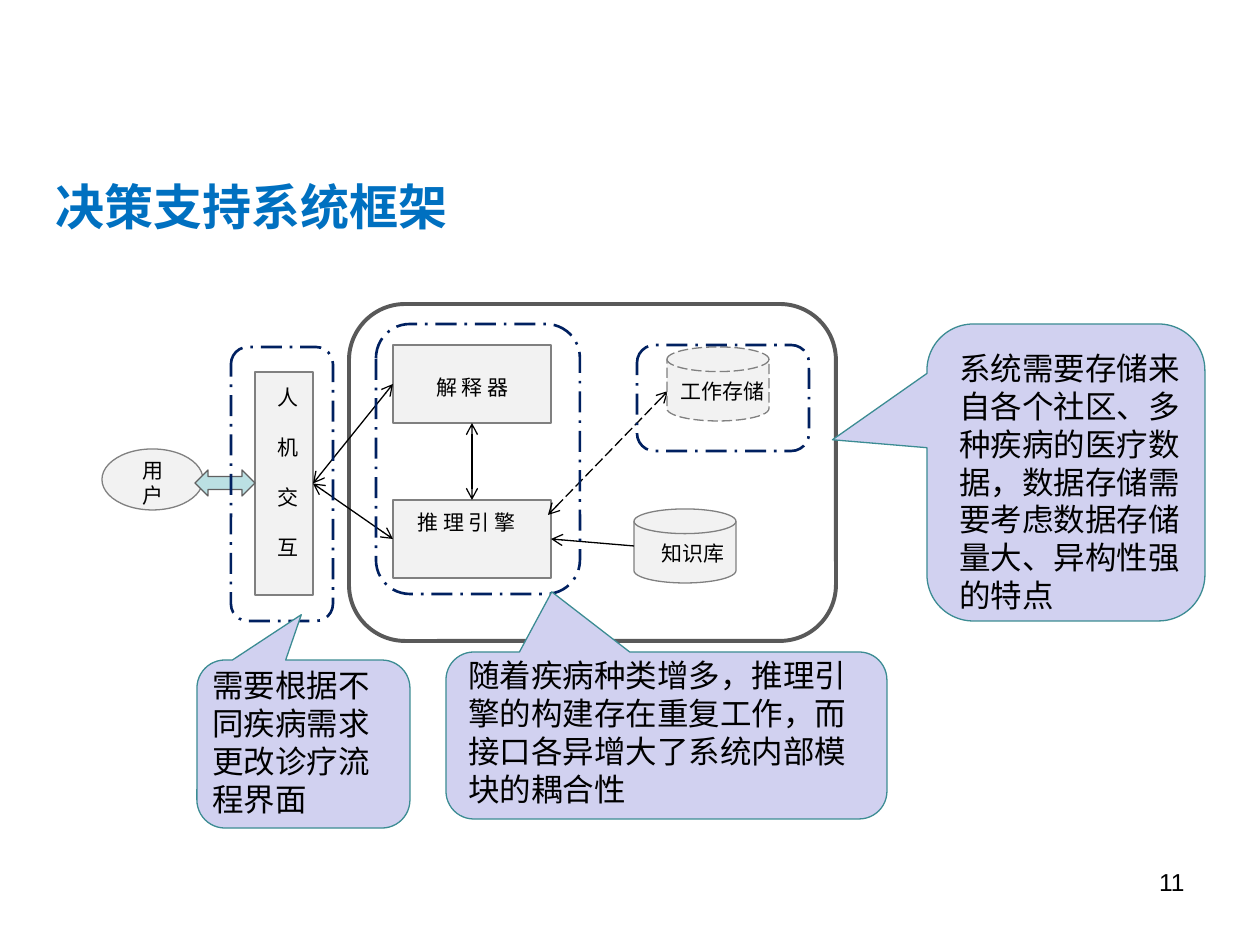
import pptx
import pptx.util
import pptx.dml.color
import pptx.enum.dml
import pptx.enum.shapes
import pptx.enum.text
import pptx.oxml
import pptx.oxml.ns
import lxml.etree

RGB = pptx.dml.color.RGBColor
SHAPE = pptx.enum.shapes.MSO_SHAPE
DASH = pptx.enum.dml.MSO_LINE
ALIGN = pptx.enum.text.PP_ALIGN
AUTO = pptx.enum.text.MSO_AUTO_SIZE

BLACK = RGB(0x00, 0x00, 0x00)
LIGHT = RGB(0xF2, 0xF2, 0xF2)
GREY = RGB(0x80, 0x80, 0x80)
DARK = RGB(0x59, 0x59, 0x59)
ARROW_LINE = RGB(0x60, 0x60, 0x60)
AQUA = RGB(0xBB, 0xE0, 0xE3)
NAVY = RGB(0x00, 0x20, 0x60)
BLUE = RGB(0x00, 0x70, 0xC0)
LILAC = RGB(0xD1, 0xD1, 0xF0)
TEAL = RGB(0x3C, 0x8C, 0x93)

TOP, LEFT, BOTTOM, RIGHT = range(4)


def px(n):
    return pptx.util.Emu(round(n * 914400 / 126))


class Board:
    """Current slide together with its drawing style."""

    font = "Arial"

    def __init__(self, slide):
        self.s = slide

    def shape(self, kind, box, fill=LIGHT, line=GREY, width=0.75, dash=None):
        sp = self.s.shapes.add_shape(kind, *map(px, box))
        sp.shadow.inherit = False
        if fill is None:
            sp.fill.background()
        else:
            sp.fill.solid()
            sp.fill.fore_color.rgb = fill
        sp.line.color.rgb = line
        sp.line.width = pptx.util.Pt(width)
        if dash is not None:
            sp.line.dash_style = dash
        return sp

    def group_frame(self, box):
        return self.shape(SHAPE.ROUNDED_RECTANGLE, box, None, NAVY, 1.5,
                          DASH.LONG_DASH_DOT)

    def callout(self, box, tip):
        """Tip is the pointer's offset from the centre, as shares of the size."""
        sp = self.shape(SHAPE.ROUNDED_RECTANGULAR_CALLOUT, box, LILAC, TEAL)
        sp.adjustments[0], sp.adjustments[1] = tip
        return sp

    def text(self, box, *lines, size=12, color=BLACK, bold=False,
             align=ALIGN.LEFT, wrap=True, gap=0):
        tf = self.s.shapes.add_textbox(*map(px, box)).text_frame
        tf.word_wrap = wrap
        tf.auto_size = AUTO.SHAPE_TO_FIT_TEXT
        for i, line in enumerate(lines):
            p = tf.add_paragraph() if i else tf.paragraphs[0]
            p.alignment = align
            if i and gap:
                p.space_before = pptx.util.Pt(gap)
            r = p.add_run()
            r.text = line
            r.font.name = self.font
            r.font.size = pptx.util.Pt(size)
            r.font.bold = bold
            r.font.color.rgb = color

    def arrow(self, start, end, both=True, dash=None):
        """Each end is an (x, y) point or a (shape, side) joint."""
        points = [(0, 0) if hasattr(e[0], "shape_id") else e
                  for e in (start, end)]
        c = self.s.shapes.add_connector(
            pptx.enum.shapes.MSO_CONNECTOR.STRAIGHT,
            *(px(n) for point in points for n in point))
        for joint, connect in ((start, c.begin_connect), (end, c.end_connect)):
            if hasattr(joint[0], "shape_id"):
                connect(*joint)
        c.line.color.rgb = BLACK
        c.line.width = pptx.util.Pt(0.75)
        if dash is not None:
            c.line.dash_style = dash
        qn = pptx.oxml.ns.qn
        ln = c.line._get_or_add_ln()
        for tag in ("a:headEnd", "a:tailEnd") if both else ("a:tailEnd",):
            lxml.etree.SubElement(ln, qn(tag), type="arrow")
        lxml.etree.SubElement(c._element.spPr, qn("a:effectLst"))


def main():
    prs = pptx.Presentation()
    prs.slide_width, prs.slide_height = px(1260), px(945)
    b = Board(prs.slides.add_slide(prs.slide_layouts[6]))

    b.text((903, 861, 294, 66), "11", size=14, align=ALIGN.RIGHT)
    b.text((40, 170, 423, 72), "决策支持系统框架", size=28, color=BLUE,
           bold=True, align=ALIGN.CENTER, wrap=False)

    # System parts
    b.shape(SHAPE.ROUNDED_RECTANGLE, (349, 304, 487, 337), None, DARK, 2.25)
    b.shape(SHAPE.OVAL, (102, 449, 101, 61))
    interface = b.shape(SHAPE.RECTANGLE, (255, 372, 58, 223))
    explainer, engine = (b.shape(SHAPE.RECTANGLE, (393, y, 158, 78))
                         for y in (345, 500))
    b.shape(SHAPE.FLOWCHART_MAGNETIC_DISK, (634, 509, 102, 74))
    b.shape(SHAPE.LEFT_RIGHT_ARROW, (195, 470, 60, 26), AQUA, ARROW_LINE)

    # Data flows
    b.arrow((explainer, LEFT), (interface, RIGHT))
    b.arrow((interface, RIGHT), (engine, LEFT))
    b.arrow((548, 515), (668, 391), dash=DASH.LONG_DASH)
    b.arrow((explainer, BOTTOM), (engine, TOP))
    b.arrow((634, 546), (engine, RIGHT), both=False)

    # Labels
    b.text((130, 451, 65, 63), "用户")
    b.text((265, 378, 45, 190), *"人机交互", gap=14.3)
    b.text((414, 368, 117, 38), "解 释 器", align=ALIGN.CENTER)
    b.text((401, 503, 131, 38), "推 理 引 擎", align=ALIGN.CENTER)
    b.text((649, 534, 92, 38), "知识库")
    b.shape(SHAPE.FLOWCHART_MAGNETIC_DISK, (667, 347, 102, 74),
            dash=DASH.LONG_DASH)
    b.text((668, 372, 111, 38), "工作存储")

    for box in ((376, 324, 204, 270), (637, 345, 172, 106),
                (231, 347, 102, 274)):
        b.group_frame(box)

    # Remarks: callout box, pointer, text box, wording
    remarks = (
        ((197, 660, 213, 168), (-0.01, -0.77), (200, 660, 193, 165),
         "需要根据不同疾病需求更改诊疗流程界面"),
        ((446, 652, 441, 167), (-0.26, -0.86), (456, 650, 431, 165),
         "随着疾病种类增多，推理引擎的构建存在重复工作，"
         "而接口各异增大了系统内部模块的耦合性"),
        ((927, 324, 278, 297), (-0.84, -0.11), (947, 343, 257, 280),
         "系统需要存储来自各个社区、多种疾病的医疗数据，"
         "数据存储需要考虑数据存储量大、异构性强的特点"),
    )
    for box, tip, text_box, words in remarks:
        b.callout(box, tip)
        b.text(text_box, words, size=18)

    prs.save("out.pptx")


if __name__ == "__main__":
    main()
